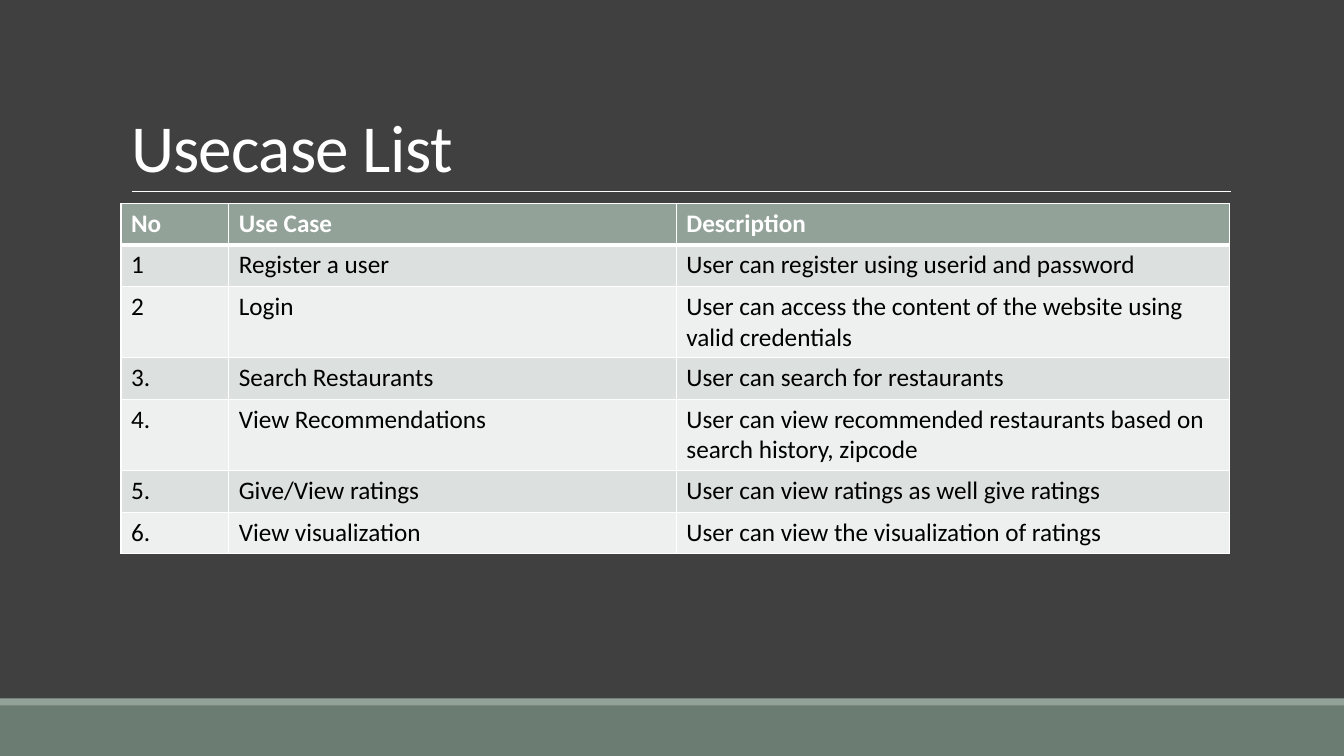
from typing import NamedTuple

from lxml.etree import SubElement
from pptx import Presentation
from pptx.dml.color import RGBColor
from pptx.enum.shapes import MSO_CONNECTOR as Connector, MSO_SHAPE as Preset
from pptx.enum.text import MSO_ANCHOR as Anchor, MSO_AUTO_SIZE as AutoSize, PP_ALIGN as Align
from pptx.oxml.ns import qn
from pptx.util import Inches, Pt

MODULE = 0.1
SLIDE_COLUMNS, SLIDE_ROWS = 133.33, 75
FONT = "Calibri"
WHITE, BLACK, CHARCOAL = "FFFFFF", "000000", "404040"
SAGE, DARK_SAGE = "93A299", "6B7D72"
STRIPES = ("DCE0DE", "EEF0EF")


class Band(NamedTuple):
    top: float
    height: float
    color: str


class UseCase(NamedTuple):
    number: str
    title: str
    description: str


BANDS = (Band(70, 5, DARK_SAGE), Band(69.3, 0.7, SAGE))
HEADINGS = UseCase("No", "Use Case", "Description")
USE_CASES = (
    UseCase("1", "Register a user", "User can register using userid and password"),
    UseCase("2", "Login", "User can access the content of the website using valid credentials"),
    UseCase("3.", "Search Restaurants", "User can search for restaurants"),
    UseCase("4.", "View Recommendations",
            "User can view recommended restaurants based on search history, zipcode"),
    UseCase("5.", "Give/View ratings", "User can view ratings as well give ratings"),
    UseCase("6.", "View visualization", "User can view the visualization of ratings"),
)
COLUMN_WIDTHS = (10.7, 44.4, 54.9)
ROW_HEIGHT = 4.1
LEFT, WIDTH = 12, 110


def grid(*modules: float) -> list:
    return [Inches(count * MODULE) for count in modules]


def paint(target, color: str) -> None:
    target.solid()
    target.fore_color.rgb = RGBColor.from_string(color)


def write(paragraph, text: str, size: float, color: str, bold: bool = False):
    run = paragraph.add_run()
    run.text = text
    run.font.name, run.font.size, run.font.bold = FONT, Pt(size), bold
    paint(run.font.fill, color)
    return run


def draw_band(slide, band: Band) -> None:
    bar = slide.shapes.add_shape(Preset.RECTANGLE, *grid(0, band.top, SLIDE_COLUMNS, band.height))
    bar.shadow.inherit = False
    paint(bar.fill, band.color)
    bar.line.fill.background()


def draw_rule(slide, start: float, end: float, height: float) -> None:
    rule = slide.shapes.add_connector(Connector.STRAIGHT, *grid(start, height, end, height))
    paint(rule.line.fill, WHITE)
    rule.line.width = Pt(0.5)
    SubElement(rule._element.spPr, qn("a:effectLst"))


def draw_title(slide, text: str) -> None:
    title = slide.shapes.title
    title.left, title.top, title.width, title.height = grid(LEFT, 3.1, WIDTH, 15.9)
    frame = title.text_frame
    frame.auto_size, frame.word_wrap = AutoSize.NONE, True
    frame.vertical_anchor = Anchor.BOTTOM
    paragraph = frame.paragraphs[0]
    paragraph.alignment, paragraph.line_spacing = Align.LEFT, 0.85
    run = write(paragraph, text, 48, WHITE)
    run.font._element.set("spc", "-50")


def border(cell, top: float, bottom: float) -> None:
    properties = cell._tc.get_or_add_tcPr()
    for side, width in (("L", 1), ("R", 1), ("T", top), ("B", bottom)):
        edge = SubElement(properties, qn(f"a:ln{side}"), w=str(Pt(width)))
        fill = SubElement(edge, qn("a:solidFill"))
        SubElement(fill, qn("a:srgbClr"), val=WHITE)


def draw_use_cases(slide) -> None:
    entries = (HEADINGS, *USE_CASES)
    frame = slide.shapes.add_table(
        len(entries), len(COLUMN_WIDTHS), *grid(LEFT, 20.2, WIDTH, ROW_HEIGHT * len(entries)))
    table = frame.table
    table.horz_banding = False
    for column, width in zip(table.columns, grid(*COLUMN_WIDTHS)):
        column.width = width
    for index, entry in enumerate(entries):
        heading = index == 0
        table.rows[index].height = grid(ROW_HEIGHT)[0]
        for cell, text in zip(table.rows[index].cells, entry):
            border(cell, top=3 if index == 1 else 1, bottom=3 if heading else 1)
            paint(cell.fill, SAGE if heading else STRIPES[(index - 1) % 2])
            write(cell.text_frame.paragraphs[0], text, 18, WHITE if heading else BLACK, heading)


deck = Presentation()
deck.slide_width, deck.slide_height = grid(SLIDE_COLUMNS, SLIDE_ROWS)
title_only = deck.slide_layouts[5]
slide = deck.slides.add_slide(title_only)
paint(slide.background.fill, CHARCOAL)
for band in BANDS:
    draw_band(slide, band)
draw_rule(slide, 13.1, 122.1, 19)
draw_title(slide, "Usecase List")
draw_use_cases(slide)
deck.save("out.pptx")
